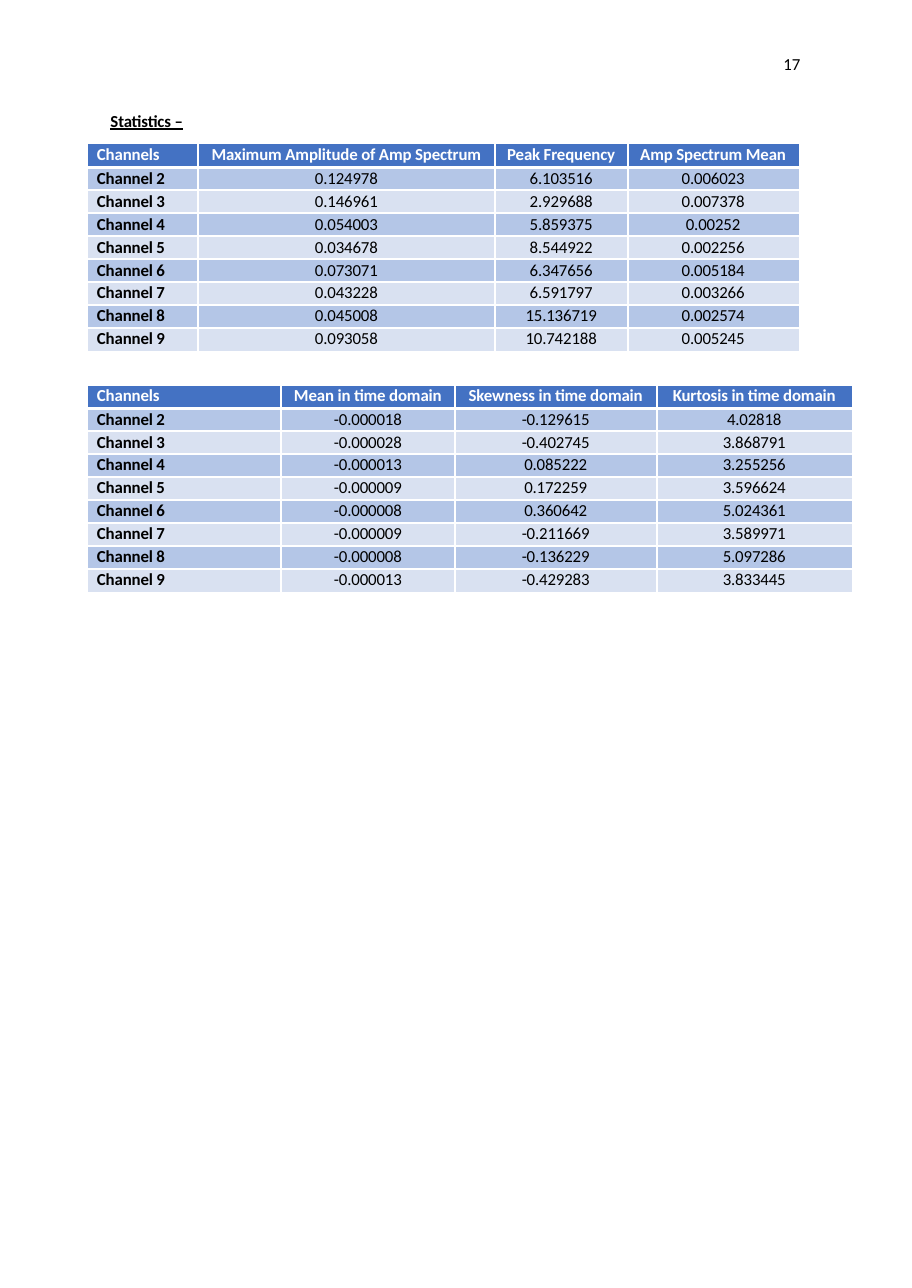
from lxml import etree
from pptx import Presentation
from pptx import util as u
from pptx.dml.color import RGBColor
from pptx.enum import text
from pptx.oxml.ns import qn

Pt = u.Pt
WHITE, BLACK, HEADER, DARK_BAND, LIGHT_BAND = (
    "FFFFFF", "000000", "4472C3", "B4C6E7", "D9E1F1")
LEFT = 57.6
HEADER_HEIGHT, ROW_HEIGHT = 14.9, 15.05
CHANNELS = [f"Channel {number}" for number in range(2, 10)]

SPECTRUM = {
    "Maximum Amplitude of Amp Spectrum": [
        "0.124978", "0.146961", "0.054003", "0.034678",
        "0.073071", "0.043228", "0.045008", "0.093058"],
    "Peak Frequency": [
        "6.103516", "2.929688", "5.859375", "8.544922",
        "6.347656", "6.591797", "15.136719", "10.742188"],
    "Amp Spectrum Mean": [
        "0.006023", "0.007378", "0.00252", "0.002256",
        "0.005184", "0.003266", "0.002574", "0.005245"],
}
TIME_DOMAIN = {
    "Mean in time domain": [
        "-0.000018", "-0.000028", "-0.000013", "-0.000009",
        "-0.000008", "-0.000009", "-0.000008", "-0.000013"],
    "Skewness in time domain": [
        "-0.129615", "-0.402745", "0.085222", "0.172259",
        "0.360642", "-0.211669", "-0.136229", "-0.429283"],
    "Kurtosis in time domain": [
        "4.02818", "3.868791", "3.255256", "3.596624",
        "5.024361", "3.589971", "5.097286", "3.833445"],
}


def rgb(value):
    return RGBColor.from_string(value)


def set_all(target, values):
    for name, value in values.items():
        setattr(target, name, value)


def write(frame, words, color=BLACK, align=text.PP_ALIGN.LEFT, line=None, **font):
    paragraph = frame.paragraphs[0]
    paragraph.alignment = align
    if line:
        paragraph.line_spacing = Pt(line)
    run = paragraph.add_run()
    run.text = words
    set_all(run.font, {"name": "Calibri", "size": Pt(11), **font})
    run.font.color.rgb = rgb(color)
    run._r.get_or_add_rPr().set("spc", "-10")


def place_text(shape, box, words, **font):
    set_all(shape, dict(zip(("left", "top", "width", "height"), map(Pt, box))))
    set_all(shape.text_frame, {
        "margin_left": Pt(0.9), "margin_top": Pt(1.6), "margin_right": 0,
        "margin_bottom": 0, "word_wrap": False,
        "auto_size": text.MSO_AUTO_SIZE.NONE,
        "vertical_anchor": text.MSO_ANCHOR.TOP})
    write(shape.text_frame, words, **font)


def set_borders(cell, widths):
    """Draw white edges; a width of 0 leaves that edge without a line."""
    properties = cell._tc.get_or_add_tcPr()
    for side, width in zip("LRTB", widths):
        edge = etree.SubElement(properties, qn(f"a:ln{side}"), w=str(int(Pt(width))))
        if width:
            fill = etree.SubElement(edge, qn("a:solidFill"))
            etree.SubElement(fill, qn("a:srgbClr"), val=WHITE)
        else:
            etree.SubElement(edge, qn("a:noFill"))


def add_statistics(slide, top, widths, statistics, line, inset):
    rows = [["Channels", *statistics], *zip(CHANNELS, *statistics.values())]
    heights = [HEADER_HEIGHT] + [ROW_HEIGHT] * len(CHANNELS)
    table = slide.shapes.add_table(
        len(rows), len(widths), Pt(LEFT), Pt(top),
        Pt(sum(widths)), Pt(sum(heights))).table
    for column, width in zip(table.columns, widths):
        column.width = Pt(width)
    for r, values in enumerate(rows):
        table.rows[r].height = Pt(heights[r])
        is_header = r == 0
        band = HEADER if is_header else DARK_BAND if r % 2 else LIGHT_BAND
        above = (0, 2.25)[r] if r < 2 else 1.5
        below = 2.25 if is_header else 1.5 if r < len(rows) - 1 else 0
        for c, value in enumerate(values):
            cell = table.cell(r, c)
            set_all(cell, {
                "margin_left": Pt(0 if c else 5.8), "margin_right": 0,
                "margin_top": Pt(0.5 if is_header else inset),
                "margin_bottom": 0})
            set_borders(cell, (1.5 if c else 0,
                               1.5 if c < len(widths) - 1 else 0, above, below))
            cell.fill.solid()
            cell.fill.fore_color.rgb = rgb(band)
            write(cell.text_frame, value,
                  color=WHITE if is_header else BLACK,
                  align=text.PP_ALIGN.CENTER if c else text.PP_ALIGN.LEFT,
                  line=13 if is_header else line,
                  bold=is_header or c == 0)


def main():
    deck = Presentation()
    set_all(deck, {"slide_width": Pt(596.16), "slide_height": Pt(841.68)})
    slide = deck.slides.add_slide(deck.slide_layouts.get_by_name("Title Only"))
    place_text(slide.shapes.title, (71.3, 70.6, 50.4, 15.1), "Statistics –",
               bold=True, underline=True)
    add_statistics(slide, 94.4, (72, 193.7, 87.1, 111.6), SPECTRUM, 12.8, 1.2)
    add_statistics(slide, 252, (126, 113.8, 131.8, 127.8), TIME_DOMAIN, 12.2, 1.7)
    page_number = slide.shapes.add_textbox(0, 0, 0, 0)
    place_text(page_number, (511.2, 33.8, 13, 15.1), "17")
    deck.save("out.pptx")


if __name__ == "__main__":
    main()
